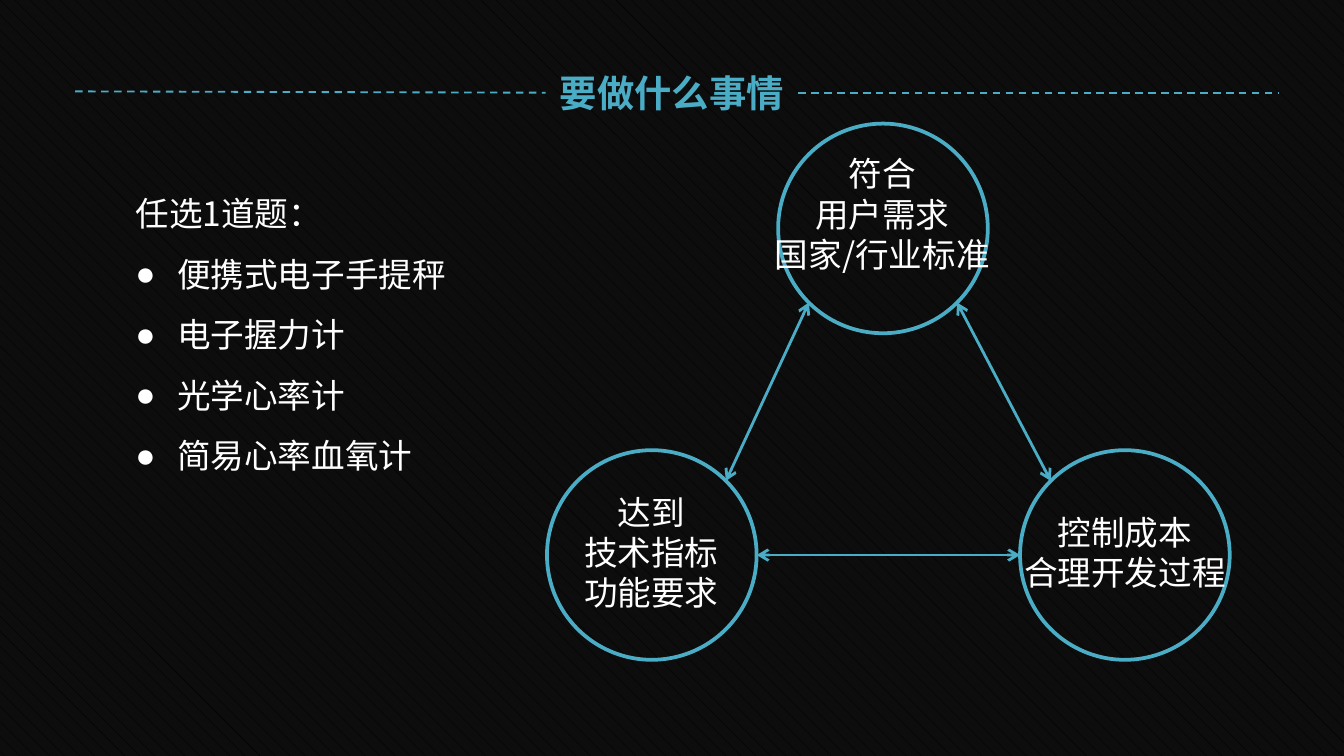
from dataclasses import dataclass
from math import cos, radians, sin

from lxml.etree import SubElement
from pptx import Presentation
from pptx.dml.color import RGBColor
from pptx.enum.dml import MSO_LINE, MSO_PATTERN
from pptx.enum.shapes import MSO_CONNECTOR, MSO_SHAPE
from pptx.enum.text import MSO_AUTO_SIZE, PP_ALIGN
from pptx.oxml.ns import qn
from pptx.util import Inches, Pt

TEAL = RGBColor(0x4B, 0xAC, 0xC6)
WHITE = RGBColor(0xFF, 0xFF, 0xFF)
BLACK = RGBColor(0x00, 0x00, 0x00)
CHARCOAL = RGBColor(0x0D, 0x0D, 0x0D)
FONT = "Noto Sans CJK SC"
TITLE = {"name": FONT, "size": Pt(20), "bold": True}
BODY = {"name": FONT, "size": Pt(18)}
RADIUS = 0.78


@dataclass
class Box:
    left: float
    top: float
    width: float
    height: float
    wrap: bool = False


@dataclass
class Goal:
    x: float
    y: float
    lines: list[str]
    box: Box

    def rim(self, angle: float) -> tuple[float, float]:
        """Point on the circle, in degrees clockwise from the right."""
        a = radians(angle)
        return self.x + RADIUS * cos(a), self.y + RADIUS * sin(a)


USER = Goal(6.57, 1.7, ["符合", "用户需求", "国家/行业标准"],
            Box(5.61, 1.09, 1.91, 1.01, wrap=True))
TECH = Goal(4.85, 4.13, ["达到", "技术指标", "功能要求"],
            Box(4.24, 3.61, 1.21, 1.01))
COST = Goal(8.37, 4.13, ["控制成本", "合理开发过程"],
            Box(7.51, 3.76, 1.72, 0.71))
ARROWS = [(USER.rim(135), TECH.rim(-45)),
          (USER.rim(45), COST.rim(-135)),
          (TECH.rim(0), COST.rim(180))]
RULES = [((0.56, 0.68), (4.06, 0.69)), ((5.94, 0.69), (9.52, 0.69))]
TOPICS = ["便携式电子手提秤", "电子握力计", "光学心率计", "简易心率血氧计"]


def add_text(s, box: Box, lines: list[str], style: dict, color: RGBColor,
             align=PP_ALIGN.CENTER):
    sp = s.shapes.add_textbox(*map(Inches, (box.left, box.top, box.width, box.height)))
    tf = sp.text_frame
    tf.word_wrap = box.wrap
    tf.auto_size = MSO_AUTO_SIZE.SHAPE_TO_FIT_TEXT
    for i, line in enumerate(lines):
        p = tf.add_paragraph() if i else tf.paragraphs[0]
        p.alignment = align
        r = p.add_run()
        r.text = line
        for name, value in style.items():
            setattr(r.font, name, value)
        r.font.color.rgb = color
        SubElement(r.font._element, qn("a:ea"), typeface=FONT)
    return tf


def add_line(s, start: tuple, end: tuple, width: float):
    cxn = s.shapes.add_connector(MSO_CONNECTOR.STRAIGHT, *map(Inches, start + end))
    cxn.line.color.rgb = TEAL
    cxn.line.width = Pt(width)
    SubElement(cxn._element.spPr, qn("a:effectLst"))
    return cxn.line


def add_arrow(s, start: tuple, end: tuple) -> None:
    ln = add_line(s, start, end, 1.5)._get_or_add_ln()
    for tag in ("a:headEnd", "a:tailEnd"):
        SubElement(ln, qn(tag), type="arrow")


def add_circle(s, goal: Goal) -> None:
    sp = s.shapes.add_shape(
        MSO_SHAPE.OVAL, Inches(goal.x - RADIUS), Inches(goal.y - RADIUS),
        Inches(2 * RADIUS), Inches(2 * RADIUS))
    sp.shadow.inherit = False
    sp.fill.background()
    sp.line.color.rgb = TEAL
    sp.line.width = Pt(2)


def add_bullet(p) -> None:
    pPr = p._p.get_or_add_pPr()
    pPr.set("marL", str(Inches(0.31)))
    pPr.set("indent", str(-Inches(0.31)))
    SubElement(pPr, qn("a:buFont"), typeface="Arial")
    SubElement(pPr, qn("a:buChar"), char="●")


def main() -> None:
    prs = Presentation()
    prs.slide_width, prs.slide_height = Inches(10), Inches(10 * 9 / 16)
    s = prs.slides.add_slide(prs.slide_layouts[6])
    fill = s.background.fill
    fill.patterned()
    fill.pattern = MSO_PATTERN.SHINGLE
    fill.fore_color.rgb = BLACK
    fill.back_color.rgb = CHARCOAL

    for start, end in RULES:
        add_line(s, start, end, 1).dash_style = MSO_LINE.DASH
    tf = add_text(s, Box(3.9, 0.52, 2.2, 0.34, wrap=True), ["要做什么事情"], TITLE, TEAL)
    for side in ("left", "top", "right", "bottom"):
        setattr(tf, f"margin_{side}", 0)

    tf = add_text(s, Box(0.91, 1.24, 2.54, 2.37), ["任选1道题：", *TOPICS],
                  BODY, WHITE, PP_ALIGN.LEFT)
    for i, p in enumerate(tf.paragraphs):
        p.line_spacing = 1.5
        if i:
            add_bullet(p)

    for goal in (USER, TECH, COST):
        add_circle(s, goal)
        add_text(s, goal.box, goal.lines, BODY, WHITE)
    for start, end in ARROWS:
        add_arrow(s, start, end)
    prs.save("out.pptx")


if __name__ == "__main__":
    main()
